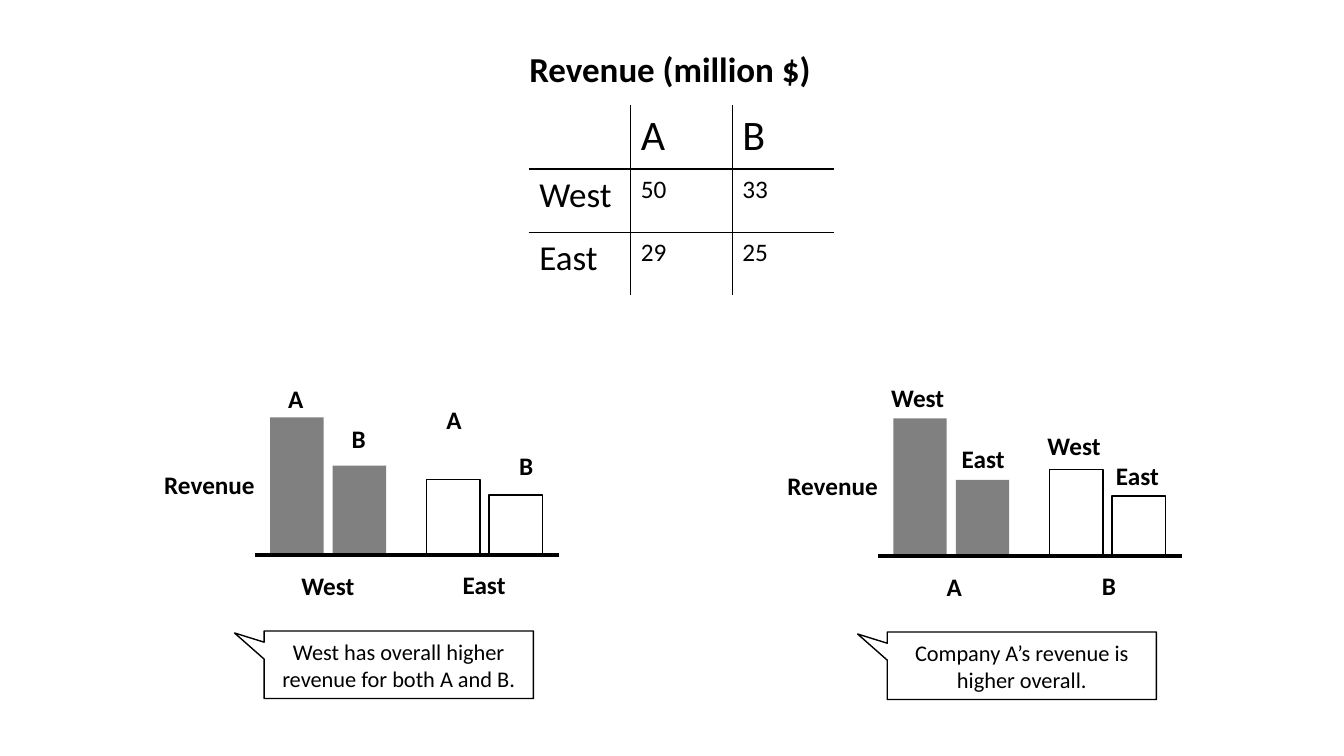
from dataclasses import dataclass

from lxml import etree
from pptx import Presentation
from pptx.dml.color import RGBColor
from pptx.enum.shapes import MSO_CONNECTOR, MSO_SHAPE
from pptx.enum.text import MSO_ANCHOR, MSO_AUTO_SIZE, PP_ALIGN
from pptx.oxml.ns import qn
from pptx.util import Inches, Pt

RECTANGLE = MSO_SHAPE.RECTANGLE
CALLOUT = MSO_SHAPE.RECTANGULAR_CALLOUT
STRAIGHT = MSO_CONNECTOR.STRAIGHT
TOP, MIDDLE = MSO_ANCHOR.TOP, MSO_ANCHOR.MIDDLE
LEFT, CENTER = PP_ALIGN.LEFT, PP_ALIGN.CENTER
GROW = MSO_AUTO_SIZE.SHAPE_TO_FIT_TEXT
TITLE_ONLY = 5

TABLE_ROWS = [["", "A", "B"], ["West", "50", "33"], ["East", "29", "25"]]
BAR_LEFTS = [1.5, 7.7, 17, 23.2]

PANELS = [
    {
        "origin": (25.3, 55.1),
        "bars": [13.7, 8.9, 7.5, 6],
        "labels": [("A", 2.3, 17.6), ("B", 8.6, 13.6), ("A", 18, 15.5), ("B", 25.2, 10.9)],
        "label_width": 3.6,
        "groups": ("West", "East"),
        "group_align": LEFT,
        "message": "West has overall higher revenue for both A and B.",
    },
    {
        "origin": (87.1, 55.2),
        "bars": [13.7, 7.6, 8.6, 6],
        "labels": [("West", 0.3, 17.8), ("East", 7.3, 11.7), ("West", 15.8, 13), ("East", 22.6, 10)],
        "label_width": 7.8,
        "groups": ("A", "B"),
        "group_align": CENTER,
        "message": "Company A’s revenue is higher overall.",
    },
]


@dataclass(frozen=True)
class Theme:
    """Colours, type sizes and line widths of the slide."""

    font: str = "Calibri"
    ink: str = "000000"
    paper: str = "FFFFFF"
    bar: str = "808080"
    title: int = 25
    column_head: int = 30
    row_head: int = 25
    body: int = 18
    note: int = 16
    thin: float = 1
    thick: float = 3


class RevenueSlide:
    """Draws elements on a grid of tenths of an inch."""

    def __init__(self, presentation, theme):
        """Add a title-only slide."""
        self.theme = theme
        self.slide = presentation.slides.add_slide(presentation.slide_layouts[TITLE_ONLY])
        self.shapes = self.slide.shapes

    def grid(self, *units):
        """Turn grid units into lengths."""
        return [Inches(unit / 10) for unit in units]

    def set_text(self, frame, text, size, bold=False, align=LEFT):
        """Fill a text frame with one formatted paragraph."""
        frame.text = text
        paragraph = frame.paragraphs[0]
        paragraph.alignment = align
        formats = {"name": self.theme.font, "size": Pt(size), "bold": bold}
        for name, value in formats.items():
            setattr(paragraph.font, name, value)
        paragraph.font.color.rgb = RGBColor.from_string(self.theme.ink)

    def arrange(self, frame, **formats):
        """Set the layout of a text frame."""
        for name, value in formats.items():
            setattr(frame, name, value)

    def title(self, text, *box):
        """Place the slide title."""
        shape = self.shapes.title
        for name, value in zip(("left", "top", "width", "height"), self.grid(*box)):
            setattr(shape, name, value)
        self.set_text(shape.text_frame, text, self.theme.title, bold=True)
        self.arrange(shape.text_frame, word_wrap=True, auto_size=GROW, vertical_anchor=TOP)

    def label(self, text, left, top, width, align=LEFT):
        """Add a bold label."""
        frame = self.shapes.add_textbox(*self.grid(left, top, width, 4)).text_frame
        self.arrange(frame, word_wrap=True, auto_size=GROW)
        self.set_text(frame, text, self.theme.body, bold=True, align=align)

    def box(self, kind, *box, filled=False):
        """Add a grey or outlined shape."""
        shape = self.shapes.add_shape(kind, *self.grid(*box))
        shape.shadow.inherit = False
        if filled:
            shape.fill.solid()
            shape.fill.fore_color.rgb = RGBColor.from_string(self.theme.bar)
            shape.line.fill.background()
        else:
            shape.fill.background()
            self.stroke(shape.line, self.theme.thin)
        return shape

    def stroke(self, line, width):
        """Draw a line in ink."""
        line.color.rgb = RGBColor.from_string(self.theme.ink)
        line.width = Pt(width)

    def callout(self, text, *box):
        """Add a speech callout pointing up and left."""
        shape = self.box(CALLOUT, *box)
        shape.adjustments[0], shape.adjustments[1] = -0.61, -0.47
        self.arrange(shape.text_frame, word_wrap=True, vertical_anchor=MIDDLE)
        self.set_text(shape.text_frame, text, self.theme.note, align=CENTER)

    def baseline(self, left, top, width):
        """Add the thick axis under the bars."""
        connector = self.shapes.add_connector(STRAIGHT, *self.grid(left, top, left + width, top))
        self.stroke(connector.line, self.theme.thick)
        etree.SubElement(connector._element.spPr, qn("a:effectLst"))

    def border(self, cell, side, color):
        """Draw one border of a table cell."""
        line = etree.SubElement(
            cell._tc.get_or_add_tcPr(), qn(f"a:ln{side}"), w=str(Pt(self.theme.thin))
        )
        fill = etree.SubElement(line, qn("a:solidFill"))
        etree.SubElement(fill, qn("a:srgbClr"), val=color)

    def table(self, rows, *box):
        """Add a table with inner rules only."""
        theme = self.theme
        last_row, last_column = len(rows) - 1, len(rows[0]) - 1
        table = self.shapes.add_table(len(rows), len(rows[0]), *self.grid(*box)).table
        table.first_row = table.horz_banding = False
        for r, row in enumerate(rows):
            for c, text in enumerate(row):
                cell = table.cell(r, c)
                outer = {"L": c == 0, "R": c == last_column, "T": r == 0, "B": r == last_row}
                for side, is_outer in outer.items():
                    self.border(cell, side, theme.paper if is_outer else theme.ink)
                cell.fill.background()
                size = theme.body
                if r == 0 and c > 0:
                    size = theme.column_head
                elif r > 0 and c == 0:
                    size = theme.row_head
                self.set_text(cell.text_frame, text, size)

    def panel(self, origin, bars, labels, label_width, groups, group_align, message):
        """Draw one bar diagram with its labels and callout."""
        x, y = origin
        self.callout(message, x + 0.9, y + 7.5, 26.7, 6.7)
        for index, (left, height) in enumerate(zip(BAR_LEFTS, bars)):
            self.box(RECTANGLE, x + left, y - height, 5.3, height, filled=index < 2)
        self.baseline(x, y, 30.1)
        for text, left, rise in labels:
            self.label(text, x + left, y - rise, label_width)
        for text, left, drop, width in zip(groups, (3.6, 19.6), (1, 0.9), (7.9, 6.6)):
            self.label(text, x + left, y + drop, width, group_align)
        self.label("Revenue", x - 10, y - 9, 11.5)


def main():
    """Build and save the slide."""
    presentation = Presentation()
    presentation.slide_width, presentation.slide_height = Inches(13.33), Inches(7.5)
    slide = RevenueSlide(presentation, Theme())
    slide.title("Revenue (million $)", 51.5, 4.2, 33, 5.2)
    slide.table(TABLE_ROWS, 52.5, 10.5, 30.2, 18.8)
    for panel in PANELS:
        slide.panel(**panel)
    presentation.save("out.pptx")


if __name__ == "__main__":
    main()
